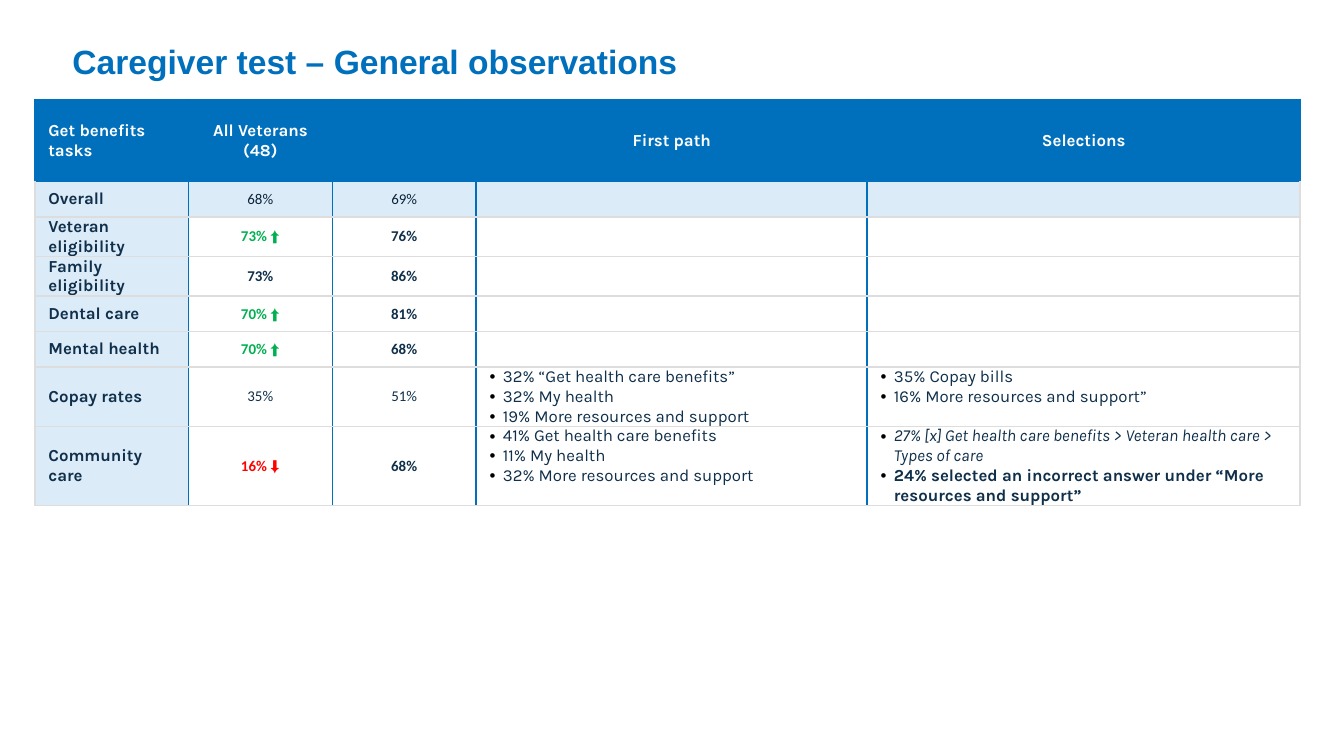
from dataclasses import dataclass

from lxml import etree
from pptx import Presentation
from pptx.dml.color import RGBColor
from pptx.enum.text import MSO_ANCHOR, MSO_AUTO_SIZE, PP_ALIGN
from pptx.oxml.ns import qn
from pptx.util import Cm, Pt

LEFT, CENTER = PP_ALIGN.LEFT, PP_ALIGN.CENTER
MIDDLE, TOP = MSO_ANCHOR.MIDDLE, MSO_ANCHOR.TOP
NO_AUTOFIT = MSO_AUTO_SIZE.NONE


@dataclass(frozen=True)
class Theme:
    blue: str = "0070BC"
    pale: str = "DCEBF8"
    white: str = "FFFFFF"
    grid: str = "DDDDDD"
    ink: str = "0F2F4A"
    overall: str = "0B2439"
    up: str = "00B050"
    down: str = "FF0000"
    bullet: str = "000000"
    title_font: str = "Arial"
    label_font: str = "Karla"
    value_font: str = "Calibri"
    title_size: int = 18
    label_size: int = 9
    value_size: int = 8


THEME = Theme()
COLUMN_WIDTHS = (2.9, 2.72, 2.72, 7.39, 8.18)
HEADER_HEIGHT, ROW_HEIGHT = 1.55, 0.67
HEADERS = ("Get benefits tasks", "All Veterans (48)", "", "First path", "Selections")

# Task, two success rates, first paths, selections
ROWS = (
    ("Overall", "68%", "69%", (), ()),
    ("Veteran eligibility", "73% ⬆", "76%", (), ()),
    ("Family eligibility", "73%", "86%", (), ()),
    ("Dental care", "70% ⬆", "81%", (), ()),
    ("Mental health", "70% ⬆", "68%", (), ()),
    ("Copay rates", "35%", "51%",
     ("32% “Get health care benefits”", "32% My health",
      "19% More resources and support"),
     ("35% Copay bills", "16% More resources and support”")),
    ("Community care", "16% ⬇", "68%",
     ("41% Get health care benefits", "11% My health",
      "32% More resources and support"),
     ("27% [x] Get health care benefits > Veteran health care > Types of care",
      "24% selected an incorrect answer under “More resources and support”")),
)
REGULAR_TASKS = ("Overall", "Copay rates")
ITALIC_START, BOLD_START = "27% [x]", "24% selected"


def set_font(font, name, size, color, bold=False, italic=False):
    font.name, font.size = name, Pt(size)
    font.bold, font.italic = bold, italic
    font.color.rgb = RGBColor.from_string(color)


def add_color(parent, color):
    fill = etree.SubElement(parent, qn("a:solidFill"))
    etree.SubElement(fill, qn("a:srgbClr"), val=color)


def style_cell(cell, fill, borders):
    """Borders are colours in the order left, right, top, bottom."""
    properties = cell._tc.get_or_add_tcPr()
    for side, color in zip("LRTB", borders):
        line = etree.SubElement(properties, qn(f"a:ln{side}"), w=str(Pt(1)))
        add_color(line, color)
    cell.fill.solid()
    cell.fill.fore_color.rgb = RGBColor.from_string(fill)


def flatten_margins(cell):
    cell.margin_top = cell.margin_bottom = 0


def fill_label(cell, text, color, alignment=LEFT):
    flatten_margins(cell)
    cell.vertical_anchor = MIDDLE
    paragraph = cell.text_frame.paragraphs[0]
    paragraph.alignment = alignment
    if text:
        paragraph.add_run().text = text
        set_font(paragraph.font, THEME.label_font, THEME.label_size, color, True)
    else:
        shrink_empty(paragraph)


def fill_value(cell, text, color, bold):
    cell.vertical_anchor = MIDDLE
    paragraph = cell.text_frame.paragraphs[0]
    paragraph.alignment = CENTER
    number, space, arrow = text.partition(" ")
    if arrow:
        color = THEME.up if arrow == "⬆" else THEME.down
    paragraph.add_run().text = number + space
    set_font(paragraph.font, THEME.value_font, THEME.value_size, color, bold)
    if arrow:
        run = paragraph.add_run()
        run.text = arrow
        run.font.bold = False


def shrink_empty(paragraph):
    """Keep an empty cell from stretching its row."""
    end = etree.SubElement(paragraph._p, qn("a:endParaRPr"))
    end.set("sz", str(THEME.value_size * 100))


def fill_bullets(cell, items):
    flatten_margins(cell)
    cell.vertical_anchor = TOP
    frame = cell.text_frame
    if not items:
        shrink_empty(frame.paragraphs[0])
    for index, item in enumerate(items):
        paragraph = frame.add_paragraph() if index else frame.paragraphs[0]
        paragraph.add_run().text = item
        properties = paragraph._p.get_or_add_pPr()
        properties.set("marL", str(Cm(0.25)))
        properties.set("indent", str(-Cm(0.25)))
        bullet_color = etree.SubElement(properties, qn("a:buClr"))
        etree.SubElement(bullet_color, qn("a:srgbClr"), val=THEME.bullet)
        etree.SubElement(properties, qn("a:buFont"), typeface="Arial")
        etree.SubElement(properties, qn("a:buChar"), char="•")
        set_font(paragraph.font, THEME.label_font, THEME.label_size, THEME.ink,
                 item.startswith(BOLD_START), item.startswith(ITALIC_START))


def add_title(slide, text):
    title = slide.shapes.title
    title.left, title.top = Cm(1.27), Cm(0.64)
    title.width, title.height = Cm(23.09), Cm(1.04)
    frame = title.text_frame
    frame.auto_size = NO_AUTOFIT
    frame.vertical_anchor = MIDDLE
    frame.margin_left = frame.margin_right = Cm(0.1)
    frame.margin_top = frame.margin_bottom = Cm(0.1)
    frame.text = text
    paragraph = frame.paragraphs[0]
    paragraph.alignment = LEFT
    set_font(paragraph.font, THEME.title_font, THEME.title_size, THEME.blue, True)


def add_results_table(slide):
    height = HEADER_HEIGHT + ROW_HEIGHT * len(ROWS)
    table = slide.shapes.add_table(
        len(ROWS) + 1, len(HEADERS), Cm(0.66), Cm(1.88),
        Cm(sum(COLUMN_WIDTHS)), Cm(height)).table
    table.first_row = table.horz_banding = False
    for column, width in zip(table.columns, COLUMN_WIDTHS):
        column.width = Cm(width)
    for index, row in enumerate(table.rows):
        row.height = Cm(ROW_HEIGHT if index else HEADER_HEIGHT)

    # Header row
    for column, text in enumerate(HEADERS):
        cell = table.cell(0, column)
        style_cell(cell, THEME.blue, [THEME.blue] * 4)
        fill_label(cell, text, THEME.white, CENTER if column else LEFT)

    # One row per task
    last_column = len(HEADERS) - 1
    for index, (task, *rates, paths, selections) in enumerate(ROWS, start=1):
        cells = [table.cell(index, column) for column in range(len(HEADERS))]
        overall = index == 1
        for column, cell in enumerate(cells):
            fill = THEME.pale if overall or column == 0 else THEME.white
            style_cell(cell, fill, (
                THEME.blue if column else THEME.grid,
                THEME.blue if column < last_column else THEME.grid,
                THEME.blue if overall else THEME.grid,
                THEME.grid))
        fill_label(cells[0], task, THEME.ink)
        for cell, rate in zip(cells[1:3], rates):
            fill_value(cell, rate, THEME.overall if overall else THEME.ink,
                       task not in REGULAR_TASKS)
        fill_bullets(cells[3], paths)
        fill_bullets(cells[4], selections)


def main():
    presentation = Presentation()
    presentation.slide_width, presentation.slide_height = Cm(25.4), Cm(14.28)
    slide = presentation.slides.add_slide(presentation.slide_layouts[5])
    add_title(slide, "Caregiver test – General observations")
    add_results_table(slide)
    presentation.save("out.pptx")


if __name__ == "__main__":
    main()
